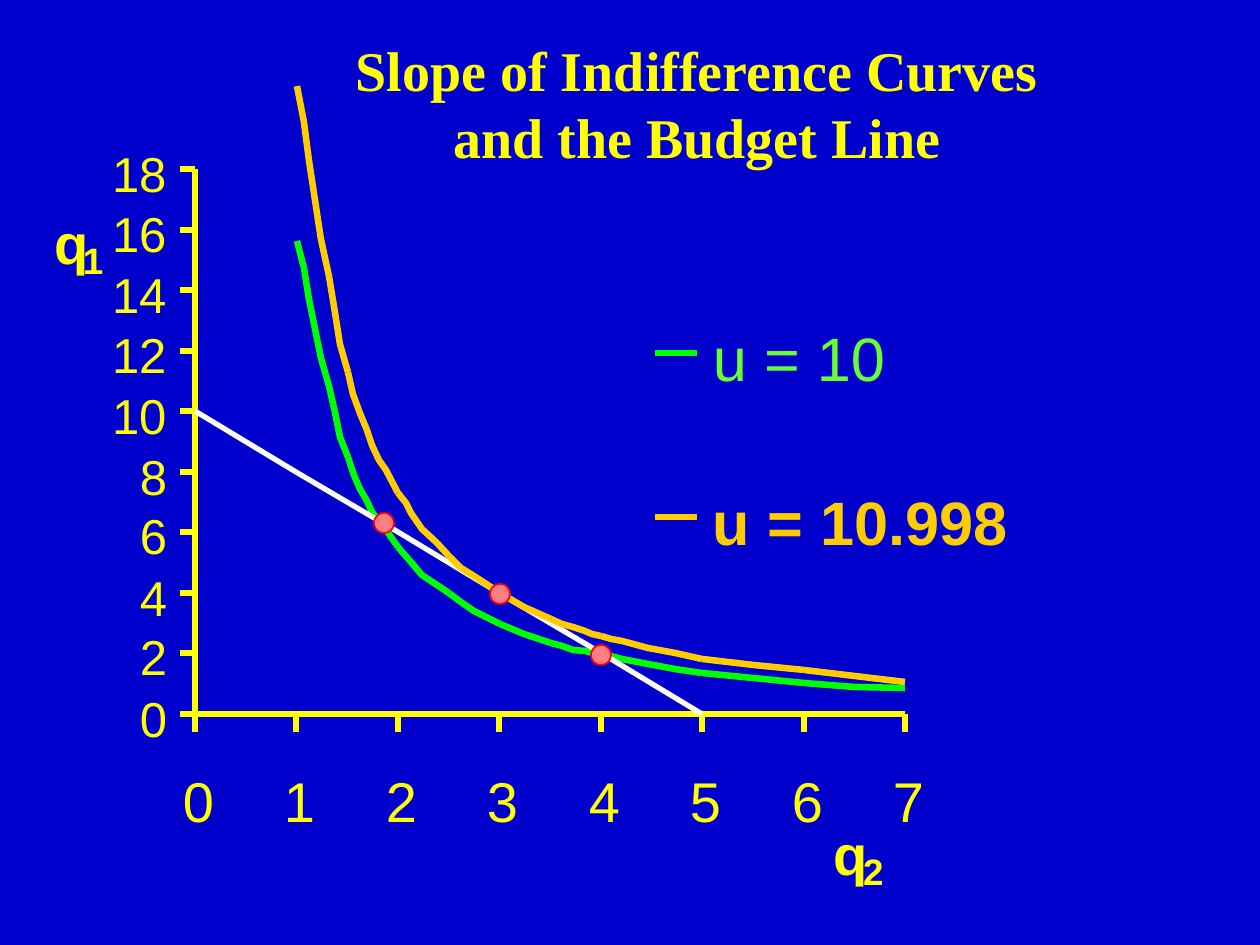
from itertools import pairwise

from lxml import etree
from pptx import Presentation
from pptx.dml.color import RGBColor
from pptx.enum.shapes import MSO_CONNECTOR, MSO_SHAPE
from pptx.enum.text import MSO_ANCHOR, MSO_AUTO_SIZE, PP_ALIGN
from pptx.oxml.ns import qn
from pptx.util import Pt

PX = 914400 // 126
STRAIGHT, OVAL = MSO_CONNECTOR.STRAIGHT, MSO_SHAPE.OVAL
LEFT, CENTER = PP_ALIGN.LEFT, PP_ALIGN.CENTER
TOP, GROW = MSO_ANCHOR.TOP, MSO_AUTO_SIZE.SHAPE_TO_FIT_TEXT

BLUE, YELLOW, WHITE = "0000CC", "FFFF00", "FFFFFF"
GREEN, LIME, ORANGE = "00FF00", "66FF33", "FFCC00"
PINK, RED = "FF8080", "FF0000"

TITLE = ["Slope of Indifference Curves", "and the Budget Line"]
AXIS_NAMES = [("q", "2", 834, 819), ("q", "1", 54, 208)]
LEGEND = [
    ("u = 10", GREEN, LIME, False, 353, 173),
    ("u = 10.998", ORANGE, ORANGE, True, 517, 295),
]
X_VALUES = range(8)
Y_VALUES = range(0, 19, 2)
BUDGET_LINE = [(x, 10 - 2 * x) for x in range(6)]
CURVE_BREAKS = [348, 398, 449, 500, 551, 601, 702, 804]
LOWER_CURVE = [
    (297, 241), (304, 268), (309, 299), (321, 358), (329, 386), (335, 412),
    (340, 437), (348, 457), (354, 475), (360, 489), (367, 501), (372, 512),
    (386, 530), (398, 547), (411, 562), (422, 575), (437, 585), (449, 593),
    (461, 602), (474, 611), (500, 624), (524, 634), (551, 643), (562, 646),
    (573, 650), (585, 651), (592, 653), (601, 655), (611, 656), (622, 659),
    (648, 664), (675, 669), (702, 673), (753, 678), (804, 683), (854, 687),
    (905, 688),
]
UPPER_CURVE = [
    (297, 86), (304, 122), (309, 160), (321, 239), (329, 276), (335, 312),
    (340, 344), (348, 372), (353, 394), (360, 413), (367, 430), (372, 445),
    (379, 460), (386, 470), (398, 493), (406, 503), (411, 513), (422, 529),
    (437, 543), (449, 556), (461, 568), (474, 576), (500, 593), (524, 607),
    (551, 619), (562, 624), (573, 627), (585, 631), (592, 634), (601, 636),
    (611, 639), (622, 641), (648, 648), (675, 653), (702, 659), (753, 665),
    (804, 670), (905, 682),
]
DOT_CENTERS = [(384, 523), (601, 655), (500, 594)]
DOT_SIZE = 20

AXIS_LEFT, AXIS_RIGHT = 195, 905
AXIS_TOP, AXIS_BOTTOM = 169, 714
X_TICK, Y_TICK = 18, 15


def color(value):
    return RGBColor.from_string(value)


def emu(*lengths):
    return [length * PX for length in lengths]


def x_at(value):
    return round(AXIS_LEFT + value * (AXIS_RIGHT - AXIS_LEFT) / 7)


def y_at(value):
    return round(AXIS_BOTTOM - value * (AXIS_BOTTOM - AXIS_TOP) / 18)


def add_line(start, end, hex_color, weight=3):
    connector = slide.shapes.add_connector(STRAIGHT, *emu(*start, *end))
    connector.line.color.rgb = color(hex_color)
    connector.line.width = Pt(weight)
    etree.SubElement(connector._element.spPr, qn("a:effectLst"))


def add_curve(points, hex_color):
    edges = [points[0][0], *CURVE_BREAKS, points[-1][0]]
    for first, last in pairwise(edges):
        section = [point for point in points if first <= point[0] <= last]
        if len(section) == 2:
            add_line(*section, hex_color, 3.75)
            continue
        builder = slide.shapes.build_freeform(*section[0], scale=PX)
        builder.add_line_segments(section[1:], close=False)
        shape = builder.convert_to_shape()
        shape.shadow.inherit = False
        shape.fill.background()
        shape.line.color.rgb = color(hex_color)
        shape.line.width = Pt(3.75)


def add_text(lines, box, size, hex_color=YELLOW, bold=False, align=LEFT, font="Arial"):
    frame = slide.shapes.add_textbox(*emu(*box)).text_frame
    frame.margin_left = frame.margin_right = frame.margin_top = frame.margin_bottom = 0
    frame.word_wrap = False
    frame.auto_size = GROW
    frame.vertical_anchor = TOP
    for index, line in enumerate(lines):
        paragraph = frame.add_paragraph() if index else frame.paragraphs[0]
        paragraph.alignment = align
        run = paragraph.add_run()
        run.text = line
        run.font.name = font
        run.font.size = Pt(size)
        run.font.bold = bold
        run.font.color.rgb = color(hex_color)


presentation = Presentation()
presentation.slide_width, presentation.slide_height = emu(1260, 945)
slide = presentation.slides.add_slide(presentation.slide_layouts[6])
slide.background.fill.solid()
slide.background.fill.fore_color.rgb = color(BLUE)

add_line((AXIS_LEFT, AXIS_TOP), (AXIS_LEFT, AXIS_BOTTOM), YELLOW)
add_line((AXIS_LEFT, AXIS_BOTTOM), (AXIS_RIGHT, AXIS_BOTTOM), YELLOW)
for value in Y_VALUES:
    y = y_at(value)
    add_line((AXIS_LEFT - Y_TICK, y), (AXIS_LEFT, y), YELLOW)
    width = 28 * len(str(value))
    add_text([str(value)], (168 - width, y - 26, width, 59), 28)
for value in X_VALUES:
    x = x_at(value)
    add_line((x, AXIS_BOTTOM + X_TICK), (x, AXIS_BOTTOM), YELLOW)
    add_text([str(value)], (x - 12, 767, 32, 67), 32)

add_curve(LOWER_CURVE, GREEN)
for start, end in pairwise((x_at(x), y_at(y)) for x, y in BUDGET_LINE):
    add_line(start, end, WHITE)
add_curve(UPPER_CURVE, ORANGE)

for letter, subscript, left, top in AXIS_NAMES:
    add_text([letter], (left, top, 34, 67), 32, bold=True)
    add_text([subscript], (left + 29, top + 30, 20, 44), 21, bold=True)

for label, line_color, text_color, bold, y, width in LEGEND:
    add_line((655, y), (697, y), line_color, 3.75 if bold else 3)
    add_text([label], (713, y - 33, width, 73), 35, text_color, bold)

add_text(TITLE, (355, 35, 684, 135), 32, bold=True, align=CENTER, font="Times New Roman")

for x, y in DOT_CENTERS:
    left, top = x - DOT_SIZE // 2, y - DOT_SIZE // 2
    dot = slide.shapes.add_shape(OVAL, *emu(left, top, DOT_SIZE, DOT_SIZE))
    dot.shadow.inherit = False
    dot.fill.solid()
    dot.fill.fore_color.rgb = color(PINK)
    dot.line.color.rgb = color(RED)
    dot.line.width = Pt(1)

presentation.save("out.pptx")
